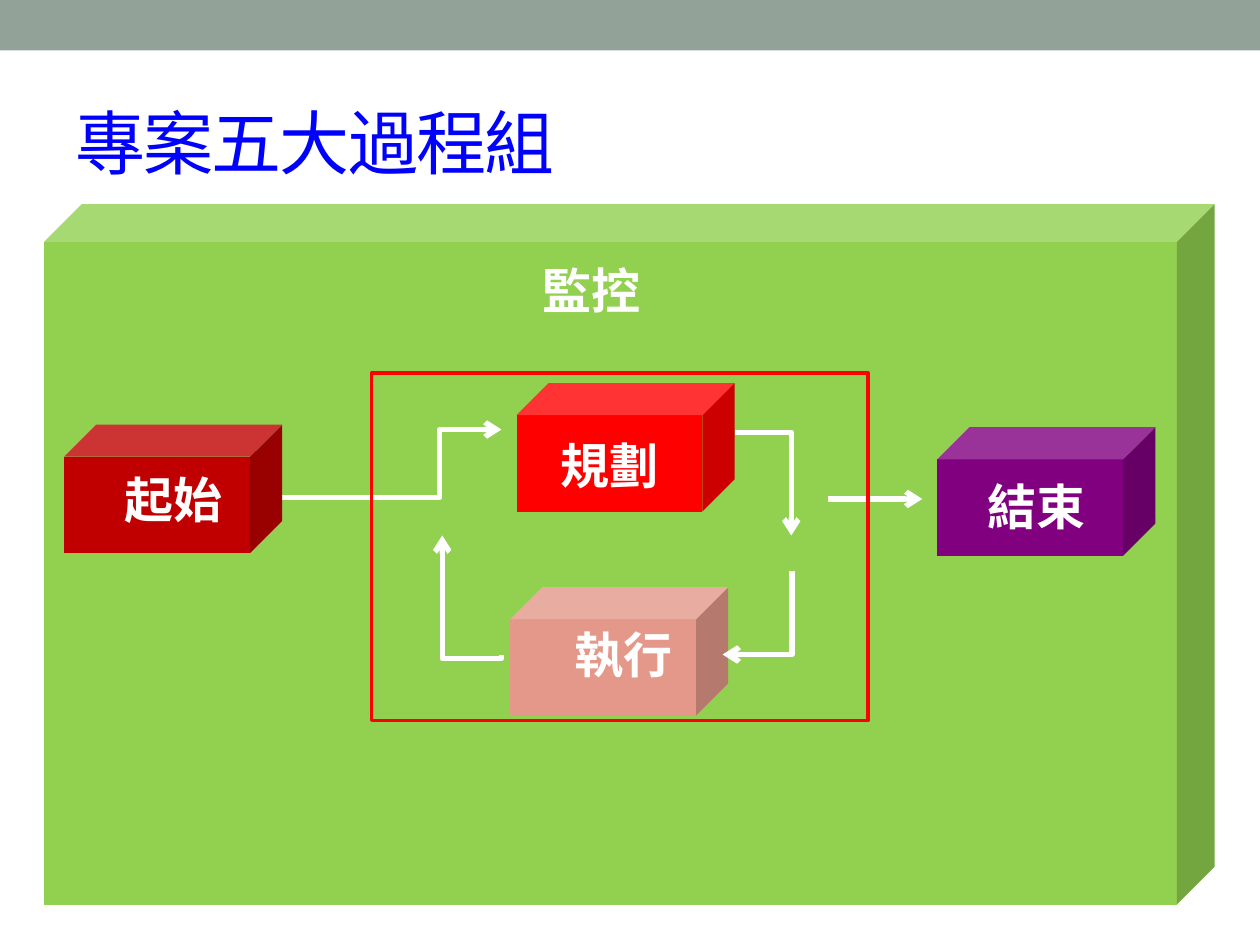
import pptx
import pptx.util
import pptx.dml.color
import pptx.enum.shapes
import pptx.enum.text
import pptx.oxml
import pptx.oxml.ns
from lxml import etree

Inches, Pt = pptx.util.Inches, pptx.util.Pt
SHAPE = pptx.enum.shapes.MSO_SHAPE
CONNECTOR = pptx.enum.shapes.MSO_CONNECTOR
ALIGN = pptx.enum.text.PP_ALIGN
ANCHOR = pptx.enum.text.MSO_ANCHOR

TITLE = "專案五大過程組"
WHITE = "FFFFFF"
CUBE_SIZE = (1.73, 1.02)

# text, colour, cube left and top, label left, top and width
STAGES = [
    ("起始", "C00000", (0.51, 3.37), (0.59, 3.68, 1.58)),
    ("規劃", "FF0000", (4.1, 3.04), (4.05, 3.41, 1.58)),
    ("執行", "E4988A", (4.05, 4.66), (4.16, 4.91, 1.57)),
    ("結束", "800080", (7.44, 3.39), (7.44, 3.73, 1.57)),
]

# start and end before rotation, rotation in degrees, preset, bend position
ARROWS_BEHIND = [
    ((2.17, 3.95), (3.98, 3.41), 0, "bentConnector3", 0.73),
    ((5.83, 3.43), (6.28, 4.25), 0, "bentConnector2", None),
    ((6.57, 3.96), (7.32, 3.96), 0, "straightConnector1", None),
    ((3.27, 4.96), (4.22, 4.49), 270, "bentConnector3", -0.03),
]
ARROW_IN_FRONT = ((5.68, 4.59), (6.34, 5.14), 90, "bentConnector2", None)


def color(value):
    return pptx.dml.color.RGBColor.from_string(value)


def add_block(slide, preset, box, fill=None, line=None):
    shape = slide.shapes.add_shape(preset, *map(Inches, box))
    shape.shadow.inherit = False
    if fill:
        shape.fill.solid()
        shape.fill.fore_color.rgb = color(fill)
    else:
        shape.fill.background()
    if line:
        shape.line.color.rgb = color(line)
        shape.line.width = Pt(2.08)
    else:
        shape.line.fill.background()
    return shape


def add_text(slide, text, box, size, font_name, font_color, bold=False, align=ALIGN.LEFT):
    frame = slide.shapes.add_textbox(*map(Inches, box)).text_frame
    frame.word_wrap = True
    paragraph = frame.paragraphs[0]
    paragraph.text = text
    paragraph.alignment = align
    paragraph.font.size = Pt(size)
    paragraph.font.name = font_name
    paragraph.font.bold = bold
    paragraph.font.color.rgb = color(font_color)
    return frame


def add_label(slide, text, left, top, width, align=ALIGN.CENTER):
    add_text(slide, text, (left, top, width, 0.57), 28, "Arial", WHITE, True, align)


def add_arrow(slide, start, end, rotation, preset, bend):
    connector = slide.shapes.add_connector(CONNECTOR.ELBOW, *map(Inches, start + end))
    connector.line.color.rgb = color(WHITE)
    connector.line.width = Pt(3)
    qn = pptx.oxml.ns.qn
    properties = connector._element.spPr
    if rotation:
        properties.find(qn("a:xfrm")).set("rot", str(rotation * 60000))
    geometry = properties.find(qn("a:prstGeom"))
    geometry.set("prst", preset)
    if bend is not None:
        guide = etree.SubElement(geometry.find(qn("a:avLst")), qn("a:gd"))
        guide.set("name", "adj1")
        guide.set("fmla", f"val {round(bend * 100000)}")
    etree.SubElement(properties.find(qn("a:ln")), qn("a:tailEnd")).set("type", "arrow")
    etree.SubElement(properties, qn("a:effectLst"))


def main():
    presentation = pptx.Presentation()
    presentation.slide_width, presentation.slide_height = Inches(10), Inches(7.5)
    slide = presentation.slides.add_slide(presentation.slide_layouts[6])

    add_block(slide, SHAPE.RECTANGLE, (0, 0, 10, 0.4), "93A299")
    title = add_text(slide, TITLE, (0.5, 0.58, 9, 1.08), 40, "Noto Sans CJK SC", "0000FF")
    title.vertical_anchor = ANCHOR.MIDDLE
    title.paragraphs[0].runs[0]._r.get_or_add_rPr().set("spc", "-100")

    control = add_block(slide, SHAPE.CUBE, (0.35, 1.62, 9.29, 5.56), "92D050")
    control.adjustments[0] = 0.054
    add_label(slide, "監控", 4.21, 2.02, 1.26, ALIGN.LEFT)

    for arrow in ARROWS_BEHIND:
        add_arrow(slide, *arrow)
    for text, fill, corner, label in STAGES:
        add_block(slide, SHAPE.CUBE, corner + CUBE_SIZE, fill)
        add_label(slide, text, *label)
    add_block(slide, SHAPE.RECTANGLE, (2.95, 2.96, 3.94, 2.76), line="FF0000")
    add_arrow(slide, *ARROW_IN_FRONT)

    presentation.save("out.pptx")


if __name__ == "__main__":
    main()
